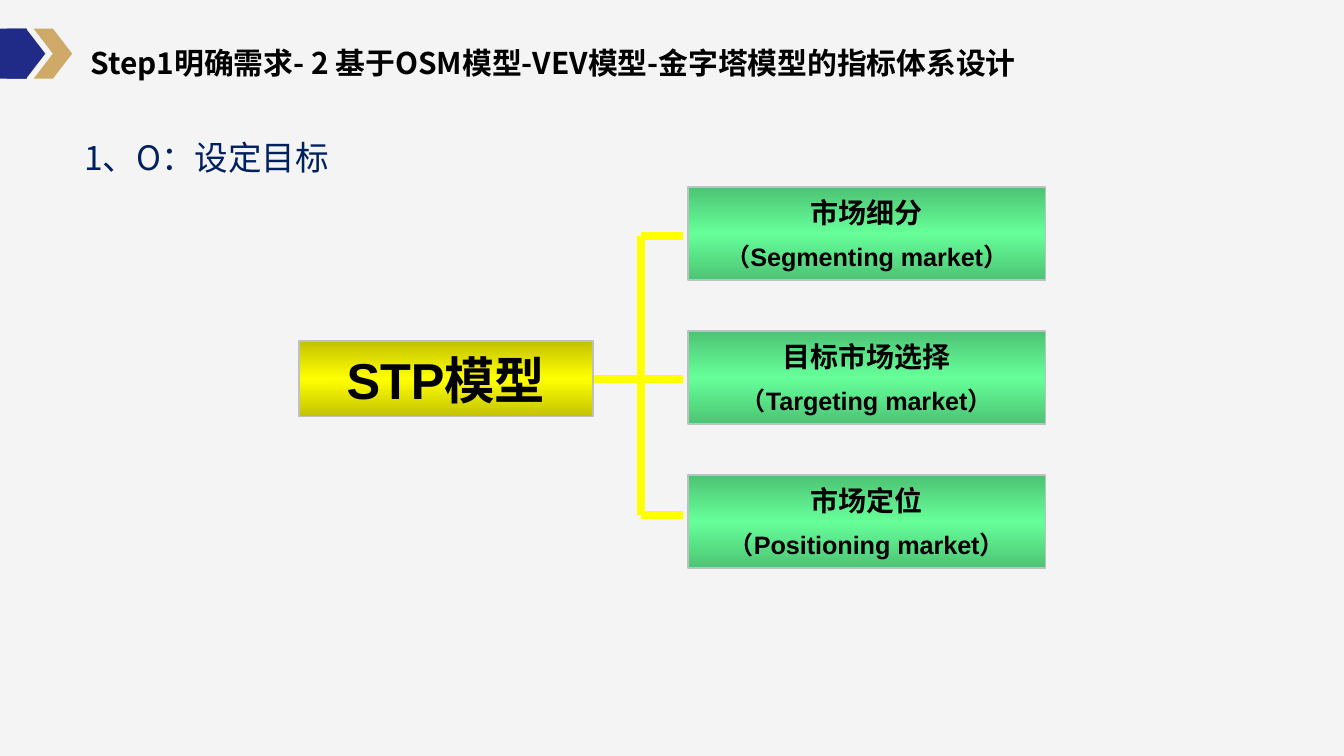
import copy
from dataclasses import dataclass

import pptx
import pptx.dml.color
import pptx.enum.dml
import pptx.enum.shapes
import pptx.enum.text
import pptx.oxml
import pptx.oxml.ns
import pptx.util
from pptx.dml.color import RGBColor

PAPER = RGBColor(0xF4, 0xF4, 0xF4)
NAVY = RGBColor(0x20, 0x2B, 0x88)
SAND = RGBColor(0xCF, 0xA9, 0x67)
HEADING_BLUE = RGBColor(0x00, 0x20, 0x60)
BLACK = RGBColor(0x00, 0x00, 0x00)
SILVER = RGBColor(0xC0, 0xC0, 0xC0)
YELLOW = RGBColor(0xFF, 0xFF, 0x00)
OLIVE = RGBColor(0xC3, 0xC3, 0x00)
MINT = RGBColor(0x66, 0xFF, 0x99)
GREEN = RGBColor(0x4D, 0xC3, 0x74)

CJK_FONT = "Noto Sans CJK SC"
SHAPES = pptx.enum.shapes.MSO_SHAPE
ANCHOR = pptx.enum.text.MSO_ANCHOR
ALIGN = pptx.enum.text.PP_ALIGN

# Grid of square cells on a 16:9 page
COLUMNS = 100
ROWS = COLUMNS * 9 / 16
CELL = pptx.util.Inches(10) / COLUMNS


def cells(count: float) -> int:
    return round(count * CELL)


@dataclass(frozen=True)
class Area:
    column: float
    row: float
    width: float
    height: float

    @property
    def lengths(self) -> tuple[int, int, int, int]:
        return cells(self.column), cells(self.row), cells(self.width), cells(self.height)


@dataclass(frozen=True)
class Line:
    text: str
    size: float
    font: str = "Arial"
    color: RGBColor = BLACK
    bold: bool = True


@dataclass(frozen=True)
class Node:
    area: Area
    edge: RGBColor
    middle: RGBColor
    lines: tuple[Line, ...]


def add_line(para, line: Line) -> None:
    span = para.add_run()
    span.text = line.text
    span.font.size = pptx.util.Pt(line.size)
    span.font.bold = line.bold
    span.font.name = line.font
    span.font.color.rgb = line.color
    if line.font == CJK_FONT:
        east_asian = pptx.oxml.parse_xml(
            f'<a:ea {pptx.oxml.ns.nsdecls("a")} typeface="{CJK_FONT}"/>')
        span.font._element.find(pptx.oxml.ns.qn("a:latin")).addnext(east_asian)


def fill_placeholder(box, area: Area, anchor, line: Line) -> None:
    box.left, box.top, box.width, box.height = area.lengths
    frame = box.text_frame
    frame.word_wrap = True
    frame.auto_size = pptx.enum.text.MSO_AUTO_SIZE.NONE
    frame.vertical_anchor = anchor
    frame.margin_left = frame.margin_right = pptx.util.Inches(0.07)
    frame.margin_top = frame.margin_bottom = pptx.util.Inches(0.04)
    para = frame.paragraphs[0]
    properties = para._p.get_or_add_pPr()
    properties.set("marL", "0")
    properties.set("indent", "0")
    properties.append(pptx.oxml.parse_xml(f'<a:buNone {pptx.oxml.ns.nsdecls("a")}/>'))
    para.alignment = ALIGN.LEFT
    para.line_spacing = 0.9
    para.space_before = pptx.util.Pt(0)
    add_line(para, line)


def add_plain_shape(page, kind, area: Area, color: RGBColor) -> None:
    shape = page.shapes.add_shape(kind, *area.lengths)
    shape.shadow.inherit = False
    shape.fill.solid()
    shape.fill.fore_color.rgb = color
    shape.line.fill.background()


def add_node(page, node: Node) -> None:
    box = page.shapes.add_shape(SHAPES.RECTANGLE, *node.area.lengths)
    box.shadow.inherit = False
    box.line.color.rgb = SILVER
    box.line.width = pptx.util.Pt(1)

    # Vertical gradient: edge, middle, edge
    box.fill.gradient()
    box.fill.gradient_angle = 270
    stop_list = box._element.spPr.find(".//" + pptx.oxml.ns.qn("a:gsLst"))
    stop_list.append(copy.deepcopy(stop_list[-1]))
    colors = (node.edge, node.middle, node.edge)
    for stop, position, color in zip(box.fill.gradient_stops, (0, 0.5, 1), colors):
        stop.position = position
        stop.color.rgb = color

    frame = box.text_frame
    frame.word_wrap = True
    frame.vertical_anchor = ANCHOR.MIDDLE
    for index, line in enumerate(node.lines):
        para = frame.add_paragraph() if index else frame.paragraphs[0]
        para.alignment = ALIGN.CENTER
        if index:
            para.space_before = pptx.util.Pt(6.75)
        add_line(para, line)


def add_branch(page, start: tuple[float, float], end: tuple[float, float]) -> None:
    branch = page.shapes.add_connector(
        pptx.enum.shapes.MSO_CONNECTOR.STRAIGHT, *map(cells, start + end))
    branch.line.color.rgb = YELLOW
    branch.line.width = pptx.util.Pt(4.25)
    branch._element.spPr.append(
        pptx.oxml.parse_xml(f'<a:effectLst {pptx.oxml.ns.nsdecls("a")}/>'))


def main() -> None:
    deck = pptx.Presentation()
    deck.slide_width, deck.slide_height = cells(COLUMNS), cells(ROWS)
    page = deck.slides.add_slide(deck.slide_layouts[1])
    page.background.fill.solid()
    page.background.fill.fore_color.rgb = PAPER

    # Corner mark
    add_plain_shape(page, SHAPES.RECTANGLE, Area(0, 2.13, 2, 3.73), NAVY)
    for column, color in ((2.5, SAND), (0.5, NAVY)):
        add_plain_shape(page, SHAPES.CHEVRON, Area(column, 2.13, 2.87, 3.73), color)

    # Title and section heading
    title, heading = page.placeholders
    fill_placeholder(title, Area(6.05, 3.2, 93.95, 3.2), ANCHOR.MIDDLE, Line(
        "Step1明确需求- 2 基于OSM模型-VEV模型-金字塔模型的指标体系设计", 16, CJK_FONT))
    fill_placeholder(heading, Area(5.55, 10.1, 91.4, 3.5), ANCHOR.TOP, Line(
        "1、O：设定目标", 18, CJK_FONT, HEADING_BLUE, False))

    # Branches from the model to its three steps
    root_right, trunk, tip = 44.1, 47.7, 50.8
    branch_rows = (17.53, 28.22, 38.33)
    add_branch(page, (root_right, branch_rows[1]), (trunk, branch_rows[1]))
    add_branch(page, (trunk, branch_rows[0]), (trunk, branch_rows[-1]))
    for row in branch_rows:
        add_branch(page, (trunk, row), (tip, row))

    # Model and steps
    add_node(page, Node(Area(22.23, 25.4, 21.9, 5.6), OLIVE, YELLOW,
                        (Line("STP模型", 27),)))
    steps = (("市场细分", "（Segmenting market）"),
             ("目标市场选择", "（Targeting market）"),
             ("市场定位", "（Positioning market）"))
    for index, (name, english) in enumerate(steps):
        area = Area(51.2, 13.91 + 10.72 * index, 26.6, 6.94)
        add_node(page, Node(area, GREEN, MINT, (Line(name, 15), Line(english, 13.5))))

    deck.save("out.pptx")


if __name__ == "__main__":
    main()
